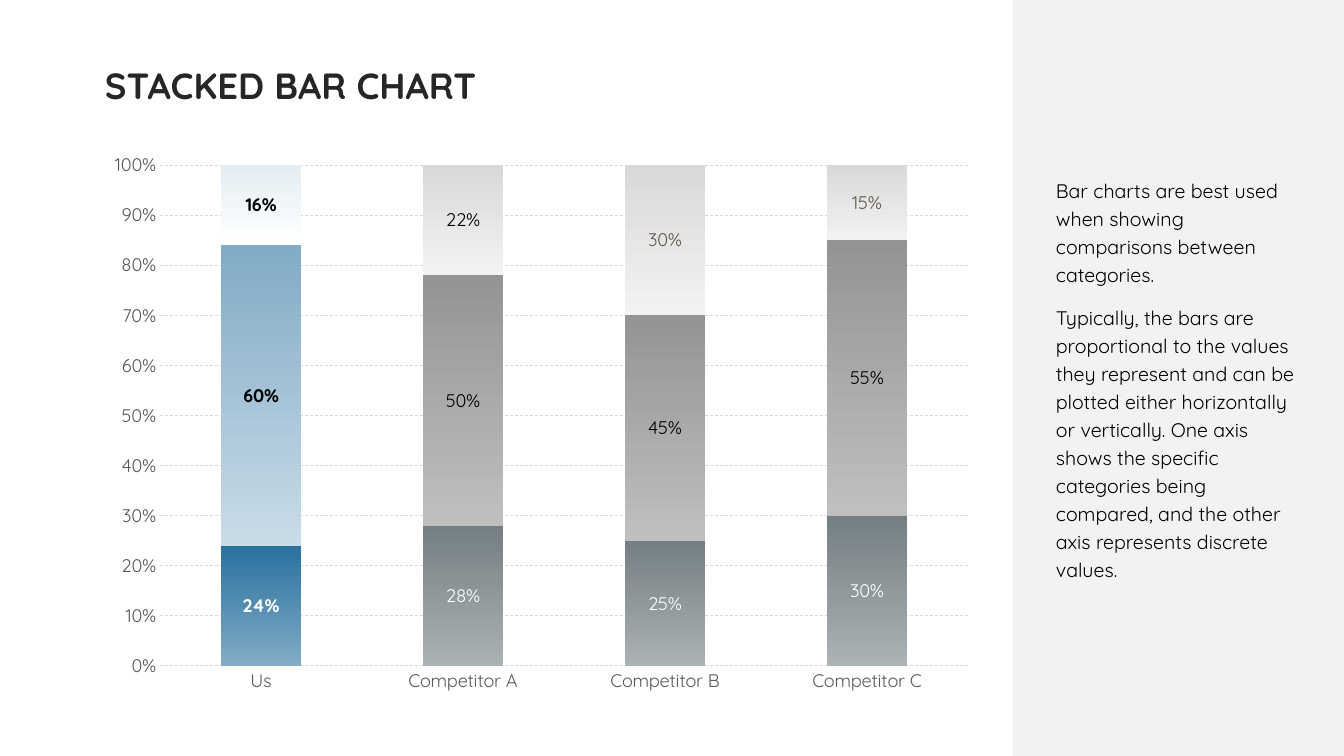
import pptx
import pptx.chart.data
import pptx.dml.color
import pptx.enum.chart
import pptx.enum.dml
import pptx.enum.shapes
import pptx.enum.text
import pptx.oxml
import pptx.oxml.ns
import pptx.util

FONT = "Quicksand"
EMU_PER_PX = 12192000 / 1344
CATEGORIES = ["Us", "Competitor A", "Competitor B", "Competitor C"]
PALE_GREY = ("D9D9D9", "F2F2F2")
SERIES = [
    {"values": [0.24, 0.28, 0.25, 0.3], "fill": ("747F83", "ABB2B5"), "label": "FFFFFF",
     "own_fill": ("29719F", "81ABC6"), "point_labels": {0: ("FFFFFF", True)}},
    {"values": [0.6, 0.5, 0.45, 0.55], "fill": ("949494", "BFBFBF"), "label": "000000",
     "own_fill": ("81ABC6", "C9DBE7"), "point_labels": {0: ("000000", True)}},
    {"values": [0.16, 0.22, 0.3, 0.15], "fill": PALE_GREY, "label": "615A48",
     "own_fill": ("E4EDF3", "FFFFFF"),
     "point_labels": {0: ("000000", True), 1: ("000000", False)}},
]
ADVICE = [
    "Bar charts are best used when showing comparisons between categories.",
    "Typically, the bars are proportional to the values they represent and can be "
    "plotted either horizontally or vertically. One axis shows the specific categories "
    "being compared, and the other axis represents discrete values.",
]
CHART_FRAME = (95, 143, 890, 561)
PLOT_FRAME = (160, 165, 808, 501)


def px(length):
    return pptx.util.Emu(round(length * EMU_PER_PX))


def color(value):
    return pptx.dml.color.RGBColor.from_string(value)


def style_font(font, size, value, bold=False):
    font.name = FONT
    font.size = pptx.util.Pt(size)
    font.bold = bold
    font.color.rgb = color(value)


def add_text(page, frame, texts, size, value, bold=False, inset=None,
             line_spacing=None, space_after=0):
    box = page.shapes.add_textbox(*map(px, frame)).text_frame
    box.word_wrap = True
    box.vertical_anchor = pptx.enum.text.MSO_ANCHOR.MIDDLE
    if inset is not None:
        box.margin_left = box.margin_right = px(inset)
        box.margin_top = box.margin_bottom = px(inset)
    for index, text in enumerate(texts):
        para = box.add_paragraph() if index else box.paragraphs[0]
        para.line_spacing = line_spacing
        para.space_after = pptx.util.Pt(space_after)
        span = para.add_run()
        span.text = text
        style_font(span.font, size, value, bold)


def add_panel(page, frame, value):
    panel = page.shapes.add_shape(pptx.enum.shapes.MSO_SHAPE.RECTANGLE, *map(px, frame))
    panel.shadow.inherit = False
    panel.fill.solid()
    panel.fill.fore_color.rgb = color(value)
    panel.line.fill.background()


def fill_downward(fill, colors):
    fill.gradient()
    fill.gradient_angle = 270
    for stop, value, position in zip(fill.gradient_stops, colors, (0, 1)):
        stop.color.rgb = color(value)
        stop.position = position


def style_axis(axis):
    axis.major_tick_mark = pptx.enum.chart.XL_TICK_MARK.NONE
    axis.minor_tick_mark = pptx.enum.chart.XL_TICK_MARK.NONE
    axis.format.line.fill.background()
    style_font(axis.tick_labels.font, 13, "595959")


def style_value_axis(axis):
    style_axis(axis)
    axis.minimum_scale = 0
    axis.maximum_scale = 1
    axis.major_unit = 0.1
    axis.tick_labels.number_format = "0%"
    axis.tick_labels.number_format_is_linked = False
    axis.has_major_gridlines = True
    line = axis.major_gridlines.format.line
    line.color.rgb = color("D9D9D9")
    line.width = pptx.util.Pt(0.5)
    line.dash_style = pptx.enum.dml.MSO_LINE.DASH


def style_series(series, design):
    center = pptx.enum.chart.XL_LABEL_POSITION.CENTER
    series.invert_if_negative = False
    fill_downward(series.format.fill, design["fill"])
    fill_downward(series.points[0].format.fill, design["own_fill"])
    labels = series.data_labels
    labels.show_value = True
    labels.position = center
    labels.number_format = "0%"
    labels.number_format_is_linked = False
    style_font(labels.font, 13, design["label"])
    for index, (value, bold) in design["point_labels"].items():
        label = series.points[index].data_label
        style_font(label.font, 13, value, bold)
        label.position = center


def place_plot(chart):
    left, top, width, height = CHART_FRAME
    plot_left, plot_top, plot_width, plot_height = PLOT_FRAME
    shares = {"x": (plot_left - left) / width, "y": (plot_top - top) / height,
              "w": plot_width / width, "h": plot_height / height}
    modes = "".join(f'<c:{name}Mode val="edge"/>' for name in "xy")
    sizes = "".join(f'<c:{name} val="{share:.4f}"/>' for name, share in shares.items())
    layout = pptx.oxml.parse_xml(
        f'<c:layout {pptx.oxml.ns.nsdecls("c")}><c:manualLayout>'
        f'<c:layoutTarget val="inner"/>{modes}{sizes}</c:manualLayout></c:layout>')
    area = chart.element.find(".//" + pptx.oxml.ns.qn("c:plotArea"))
    for previous in area.findall(pptx.oxml.ns.qn("c:layout")):
        area.remove(previous)
    area.insert(0, layout)


def add_stacked_chart(page):
    data = pptx.chart.data.CategoryChartData(number_format="0%")
    data.categories = CATEGORIES
    for number, design in enumerate(SERIES, 1):
        data.add_series(f"Series {number}", design["values"])
    kind = pptx.enum.chart.XL_CHART_TYPE.COLUMN_STACKED_100
    chart = page.shapes.add_chart(kind, *map(px, CHART_FRAME), data).chart
    chart.has_title = False
    chart.has_legend = False
    style_font(chart.font, 13, "000000")
    style_axis(chart.category_axis)
    style_value_axis(chart.value_axis)
    plot = chart.plots[0]
    plot.vary_by_categories = False
    plot.gap_width = 150
    plot.overlap = 100
    for series, design in zip(plot.series, SERIES):
        style_series(series, design)
    place_plot(chart)


def main():
    deck = pptx.Presentation()
    deck.slide_width = px(1344)
    deck.slide_height = px(756)
    page = deck.slides.add_slide(deck.slide_layouts[6])
    add_text(page, (95, 59, 863, 58), ["STACKED BAR CHART"], 26, "262626",
             bold=True, line_spacing=0.9)
    add_panel(page, (1013, 0, 331, 756), "F2F2F2")
    add_text(page, (1040, 187, 280, 382), ADVICE, 14, "000000", inset=16,
             line_spacing=pptx.util.Pt(20), space_after=10)
    add_stacked_chart(page)
    deck.save("out.pptx")


if __name__ == "__main__":
    main()
